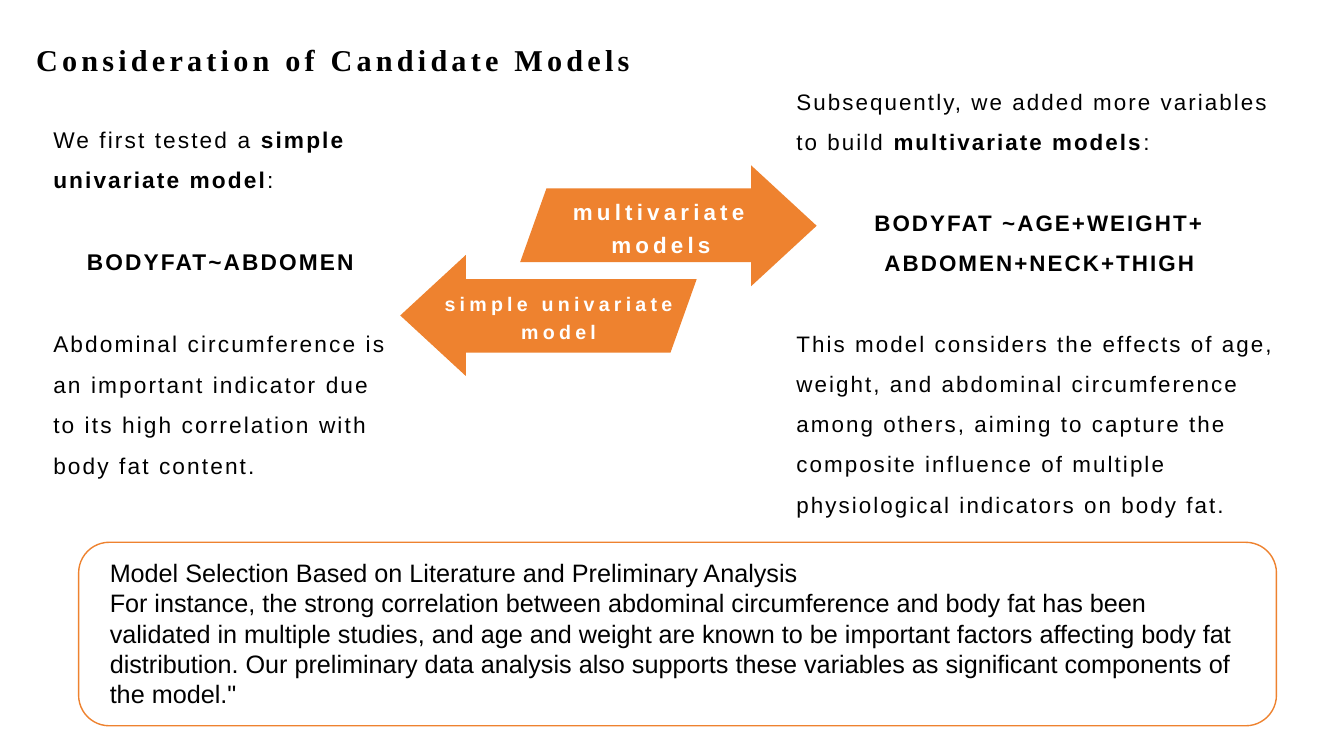
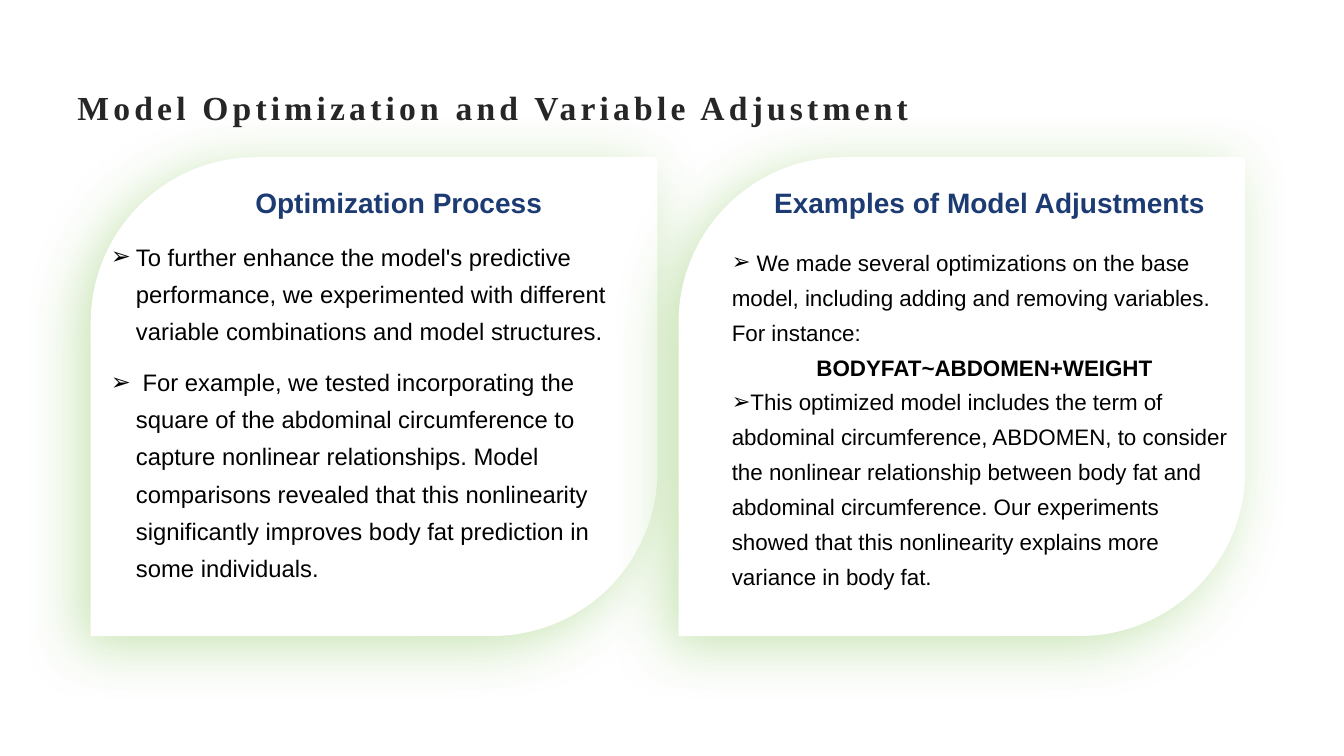
"""Build two slides on choosing and optimizing body fat models."""
import dataclasses

import lxml.etree
import pptx
import pptx.dml.color
import pptx.enum.shapes
import pptx.enum.text
import pptx.oxml.ns
import pptx.util

RGBColor = pptx.dml.color.RGBColor
Align = pptx.enum.text.PP_ALIGN
Anchor = pptx.enum.text.MSO_ANCHOR
Preset = pptx.enum.shapes.MSO_SHAPE
qn = pptx.oxml.ns.qn

EMU_PER_PX = 9144
BLACK = RGBColor(0x00, 0x00, 0x00)
CHARCOAL = RGBColor(0x26, 0x26, 0x26)
WHITE = RGBColor(0xFF, 0xFF, 0xFF)
ORANGE = RGBColor(0xEE, 0x82, 0x2F)
NAVY = RGBColor(0x1C, 0x3B, 0x72)
GREEN = RGBColor(0x75, 0xBD, 0x42)


@dataclasses.dataclass(frozen=True)
class Frame:
    left: int
    top: int
    width: int
    height: int

    def emu(self) -> list[int]:
        return [px(side) for side in dataclasses.astuple(self)]


@dataclasses.dataclass(frozen=True)
class Style:
    size: float
    color: RGBColor = BLACK
    font: str = "Arial"
    tracking: float = 0
    line_spacing: float = 1.0


@dataclasses.dataclass(frozen=True)
class Run:
    text: str
    bold: bool = False


@dataclasses.dataclass(frozen=True)
class Paragraph:
    runs: tuple[Run, ...]
    align: Align = Align.LEFT
    before: float = 0
    after: float = 0
    bullet: bool = False
    hanging: int = 0


@dataclasses.dataclass(frozen=True)
class TextBlock:
    frame: Frame
    style: Style
    paragraphs: tuple[Paragraph, ...]
    anchor: Anchor = Anchor.TOP


def px(length: int) -> int:
    return length * EMU_PER_PX


def plain(text: str, **layout) -> Paragraph:
    return Paragraph((Run(text),), **layout)


def strong(text: str, **layout) -> Paragraph:
    return Paragraph((Run(text, True),), **layout)


def add_bullet(paragraph, hanging: int) -> None:
    properties = paragraph._p.get_or_add_pPr()
    properties.set("marL", str(px(hanging)))
    properties.set("indent", str(-px(hanging)))
    lxml.etree.SubElement(properties, qn("a:buFont")).set("typeface", "Arial")
    lxml.etree.SubElement(properties, qn("a:buChar")).set("char", "➢")


def add_text(slide, block: TextBlock) -> None:
    text_frame = slide.shapes.add_textbox(*block.frame.emu()).text_frame
    text_frame.word_wrap = True
    text_frame.vertical_anchor = block.anchor
    style = block.style
    for index, content in enumerate(block.paragraphs):
        paragraph = text_frame.add_paragraph() if index else text_frame.paragraphs[0]
        paragraph.alignment = content.align
        paragraph.line_spacing = style.line_spacing
        paragraph.space_before = pptx.util.Pt(content.before)
        paragraph.space_after = pptx.util.Pt(content.after)
        if content.bullet:
            add_bullet(paragraph, content.hanging)
        for part in content.runs:
            run = paragraph.add_run()
            run.text = part.text
            run.font.name = style.font
            run.font.size = pptx.util.Pt(style.size)
            run.font.bold = part.bold
            run.font.color.rgb = style.color
            if style.tracking:
                run._r.get_or_add_rPr().set("spc", str(round(style.tracking * 100)))


def add_title(slide, text: str, frame: Frame, size: float, color: RGBColor) -> None:
    style = Style(size, color, "Times New Roman", tracking=3)
    add_text(slide, TextBlock(frame, style, (strong(text),), Anchor.MIDDLE))


def add_arrow(slide, outline: list[tuple[int, int]]) -> None:
    builder = slide.shapes.build_freeform(*outline[0], scale=EMU_PER_PX)
    builder.add_line_segments(outline[1:], close=True)
    arrow = builder.convert_to_shape()
    arrow.shadow.inherit = False
    arrow.fill.solid()
    arrow.fill.fore_color.rgb = ORANGE
    arrow.line.fill.background()


def add_outline_box(slide, frame: Frame) -> None:
    box = slide.shapes.add_shape(Preset.ROUNDED_RECTANGLE, *frame.emu())
    box.shadow.inherit = False
    box.fill.background()
    box.line.color.rgb = ORANGE
    box.line.width = pptx.util.Pt(1)


def add_leaf_card(slide, frame: Frame) -> None:
    card = slide.shapes.add_shape(Preset.ROUND_2_DIAG_RECTANGLE, *frame.emu())
    card.adjustments[0] = 0.345
    card.adjustments[1] = 0
    card.fill.solid()
    card.fill.fore_color.rgb = WHITE
    card.line.fill.background()
    card.shadow.inherit = False
    effects = card._element.spPr.find(qn("a:effectLst"))
    glow = lxml.etree.SubElement(effects, qn("a:outerShdw"))
    glow.set("blurRad", str(pptx.util.Pt(41)))
    glow.set("dist", str(pptx.util.Pt(11)))
    glow.set("dir", str(135 * 60000))
    glow.set("algn", "ctr")
    glow.set("rotWithShape", "0")
    tint = lxml.etree.SubElement(glow, qn("a:srgbClr"))
    tint.set("val", str(GREEN))
    lxml.etree.SubElement(tint, qn("a:alpha")).set("val", "40000")


def build_candidates(slide) -> None:
    right_arrow = [(516, 260), (542, 187), (745, 187), (745, 164),
                   (810, 224), (745, 284), (745, 260)]
    left_arrow = [(1207 - x, 537 - y) for x, y in right_arrow]
    for outline in (left_arrow, right_arrow):
        add_arrow(slide, outline)

    add_title(slide, "Consideration of Candidate Models",
              Frame(26, 20, 627, 77), 21.6, BLACK)
    add_outline_box(slide, Frame(78, 538, 1188, 182))

    blocks = (
        TextBlock(
            Frame(556, 181, 199, 85), Style(16, WHITE, tracking=3, line_spacing=1.2),
            (strong("multivariate models", align=Align.CENTER),), Anchor.MIDDLE),
        TextBlock(
            Frame(423, 271, 262, 84), Style(14, WHITE, tracking=3, line_spacing=1.2),
            tuple(strong(line, align=Align.CENTER)
                  for line in ("simple univariate", "model")), Anchor.MIDDLE),
        TextBlock(
            Frame(780, 69, 502, 462), Style(16, tracking=1.5, line_spacing=1.5), (
                Paragraph((Run("Subsequently, we added more variables to build "),
                           Run("multivariate models", True), Run(":"))),
                strong("BODYFAT ~AGE+WEIGHT+ ABDOMEN+NECK+THIGH",
                       align=Align.CENTER, before=28.8, after=28.8),
                plain("This model considers the effects of age, weight, and abdominal "
                      "circumference among others, aiming to capture the composite "
                      "influence of multiple physiological indicators on body fat."))),
        TextBlock(
            Frame(43, 106, 351, 386), Style(16.2, tracking=1.5, line_spacing=1.5), (
                Paragraph((Run("We first tested a "),
                           Run("simple univariate model", True), Run(":"))),
                strong("BODYFAT~ABDOMEN", align=Align.CENTER, before=29.2, after=29.2),
                plain("Abdominal circumference is an important indicator due to its "
                      "high correlation with body fat content."))),
        TextBlock(
            Frame(99, 548, 1149, 161), Style(18), (
                plain("Model Selection Based on Literature and Preliminary Analysis"),
                plain("For instance, the strong correlation between abdominal "
                      "circumference and body fat has been validated in multiple "
                      "studies, and age and weight are known to be important factors "
                      "affecting body fat distribution. Our preliminary data analysis "
                      "also supports these variables as significant components of the "
                      "model.\""))),
    )
    for block in blocks:
        add_text(slide, block)


def build_optimization(slide) -> None:
    heading = Style(20, NAVY)
    for left, heading_left, topic in (
            (90, 140, "Optimization Process"),
            (673, 726, "Examples of Model Adjustments")):
        add_leaf_card(slide, Frame(left, 156, 562, 475))
        add_text(slide, TextBlock(Frame(heading_left, 179, 511, 49), heading,
                                  (strong(topic, align=Align.CENTER),)))

    process = (
        "To further enhance the model's predictive performance, we experimented with "
        "different variable combinations and model structures.",
        " For example, we tested incorporating the square of the abdominal "
        "circumference to capture nonlinear relationships. Model comparisons revealed "
        "that this nonlinearity significantly improves body fat prediction in some "
        "individuals.",
    )
    add_text(slide, TextBlock(
        Frame(100, 227, 551, 405), Style(17, line_spacing=1.3),
        tuple(plain(step, after=10, bullet=True, hanging=25) for step in process)))
    add_text(slide, TextBlock(
        Frame(716, 234, 521, 398), Style(16, line_spacing=1.3), (
            plain(" We made several optimizations on the base model, including adding "
                  "and removing variables. For instance:", bullet=True),
            strong("BODYFAT~ABDOMEN+WEIGHT", align=Align.CENTER),
            plain("This optimized model includes the term of abdominal circumference, "
                  "ABDOMEN, to consider the nonlinear relationship between body fat and "
                  "abdominal circumference. Our experiments showed that this "
                  "nonlinearity explains more variance in body fat.", bullet=True))))
    add_title(slide, "Model Optimization and Variable Adjustment",
              Frame(67, 68, 927, 77), 24, CHARCOAL)


def main() -> None:
    deck = pptx.Presentation()
    deck.slide_width, deck.slide_height = px(1333), px(750)
    blank = deck.slide_layouts[6]
    for build in (build_candidates, build_optimization):
        build(deck.slides.add_slide(blank))
    deck.save("out.pptx")


if __name__ == "__main__":
    main()
